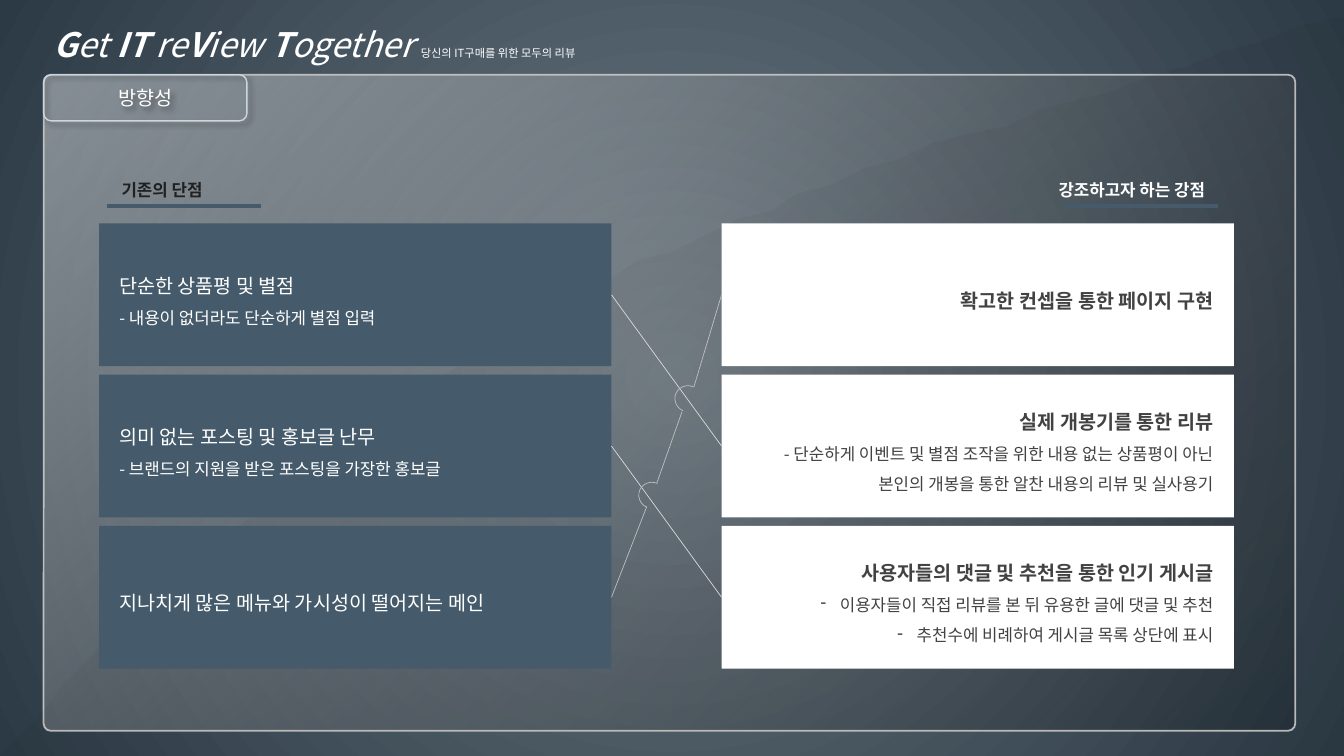
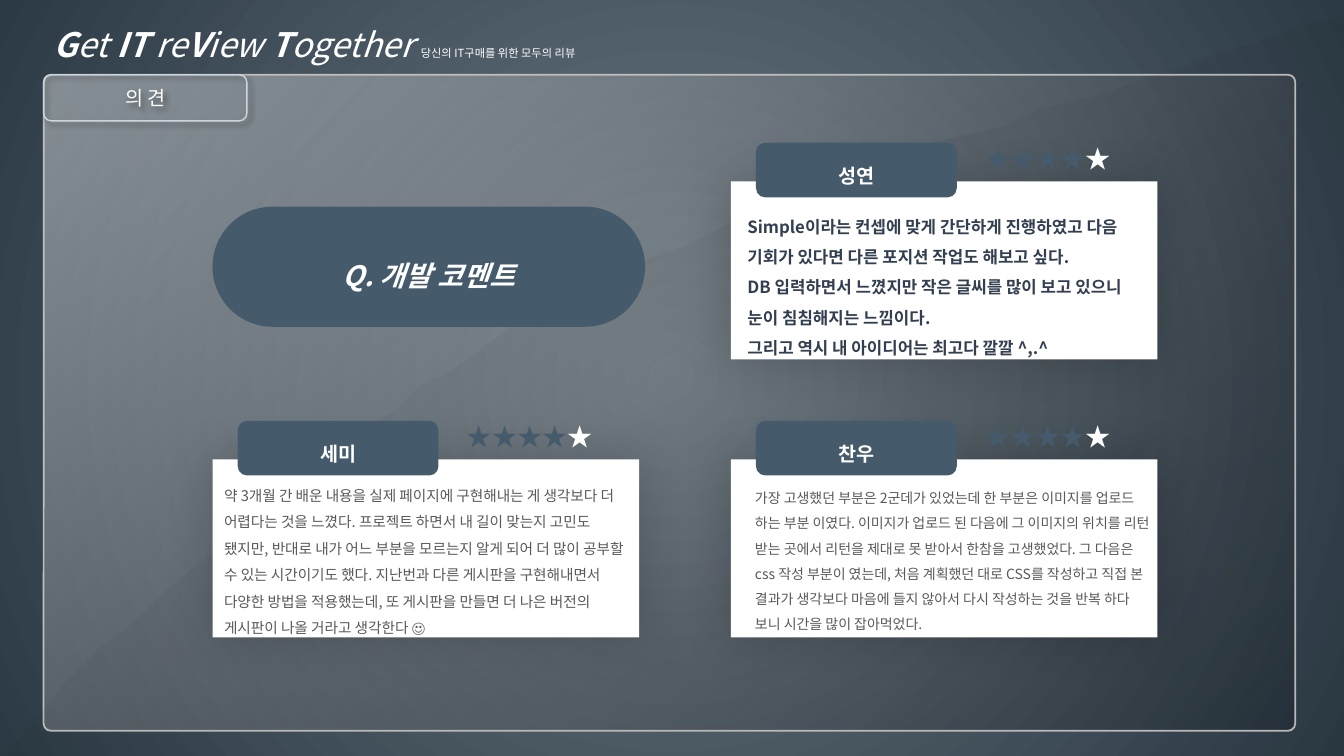
"""Build two review-site slides: direction and developer comments."""
from dataclasses import dataclass

from pptx import Presentation
from pptx.dml.color import RGBColor
from pptx.enum.shapes import MSO_CONNECTOR as Connector, MSO_SHAPE as Preset
from pptx.enum.text import MSO_ANCHOR as Anchor, MSO_AUTO_SIZE as AutoSize, PP_ALIGN as Align
from pptx.oxml import parse_xml
from pptx.oxml.ns import nsdecls, qn
from pptx.util import Emu, Pt


@dataclass(frozen=True)
class Theme:
    font: str = "Noto Sans CJK KR"
    title_font: str = "TeX Gyre Schola"
    slate: str = "455B6B"
    white: str = "FFFFFF"
    black: str = "000000"
    ink: str = "212121"
    strong: str = "424242"
    body: str = "595959"
    navy: str = "333F50"
    edge: str = "BFBFBF"
    link: str = "D9D9D9"
    tab_edge: str = "CCD6DE"
    glow: str = "6E7C87"
    night: str = "2C3A45"
    brand: float = 24
    question: float = 20
    star: float = 18
    heading: float = 14
    text: float = 12
    tagline: float = 8


theme = Theme()
presentation = Presentation()
presentation.slide_width, presentation.slide_height = Emu(12192000), Emu(6858000)
COLUMNS, ROWS = 160, 90
CELL = presentation.slide_width // COLUMNS

GRADIENT = (
    f'<a:gradFill {nsdecls("a")} rotWithShape="1"><a:gsLst>'
    '<a:gs pos="0"><a:srgbClr val="{}"><a:alpha val="{}"/></a:srgbClr></a:gs>'
    '<a:gs pos="100000"><a:srgbClr val="{}"><a:alpha val="{}"/></a:srgbClr></a:gs>'
    '</a:gsLst>{}</a:gradFill>'
)
CIRCLE = '<a:path path="circle"><a:fillToRect l="50000" t="50000" r="50000" b="50000"/></a:path>'
DIAGONAL = '<a:lin ang="2700000" scaled="0"/>'
SHADOW = (
    f'<a:outerShdw {nsdecls("a")} blurRad="{{}}" dist="{{}}" dir="2700000" algn="ctr" rotWithShape="0">'
    f'<a:srgbClr val="{theme.black}"><a:alpha val="{{}}"/></a:srgbClr></a:outerShdw>'
)
TAB_SHADOW = SHADOW.format(Pt(4), Pt(3), 40000)
CARD_SHADOW = SHADOW.format(Pt(35), 0, 18000)


def draw(slide, preset, frame, fill=None, line=None, width=1, shadow=None):
    """Add a preset shape, or a text box when there is no preset, on the grid."""
    frame = [Emu(round(value * CELL)) for value in frame]
    if preset is None:
        return slide.shapes.add_textbox(*frame)
    shape = slide.shapes.add_shape(preset, *frame)
    if fill:
        shape.fill.solid()
        shape.fill.fore_color.rgb = RGBColor.from_string(fill)
    else:
        shape.fill.background()
    if line:
        shape.line.color.rgb = RGBColor.from_string(line)
        shape.line.width = Pt(width)
    else:
        shape.line.fill.background()
    shape.shadow.inherit = False
    if shadow:
        shape.element.spPr.find(qn("a:effectLst")).append(parse_xml(shadow))
    return shape


def write(shape, paragraphs, align=Align.LEFT, anchor=Anchor.TOP, spacing=1.5, font=theme.font):
    """Fill a shape with paragraphs of (text, size, colour, style) runs."""
    frame = shape.text_frame
    frame.word_wrap = True
    frame.auto_size = AutoSize.NONE
    frame.vertical_anchor = anchor
    for index, runs in enumerate(paragraphs):
        paragraph = frame.add_paragraph() if index else frame.paragraphs[0]
        paragraph.alignment = align
        paragraph.line_spacing = spacing
        for text, size, color, style in runs:
            run = paragraph.add_run()
            run.text = text
            run.font.name = font
            run.font.size = Pt(size)
            run.font.color.rgb = RGBColor.from_string(color)
            run.font.bold = "b" in style
            run.font.italic = "i" in style
            latin = run.font._element.find(qn("a:latin"))
            latin.addnext(parse_xml(f'<a:ea {nsdecls("a")} typeface="{theme.font}"/>'))
    return frame


master = presentation.slide_master
master.background.fill.solid()
background = master.element.find(".//" + qn("p:bgPr"))
background.replace(
    background.find(qn("a:solidFill")),
    parse_xml(GRADIENT.format(theme.glow, 100000, theme.night, 100000, CIRCLE)),
)

brand = [("G", "bi"), ("et", "i"), (" IT ", "bi"), ("re", "i"), ("V", "bi"), ("iew", "i"), (" T", "bi"), ("ogether ", "i")]
brand_runs = [(text, theme.brand, theme.white, style) for text, style in brand]
brand_runs.append(("당신의 IT구매를 위한 모두의 리뷰", theme.tagline, theme.white, ""))

curve = [(159.7, 1.8), (95.4, 22.8), (55.1, 30.5), (0, ROWS)]
swoosh_points = []
for step in range(41):
    t = step / 40
    weights = [(1 - t) ** 3, 3 * t * (1 - t) ** 2, 3 * t * t * (1 - t), t ** 3]
    swoosh_points.append([sum(w * point[axis] for w, point in zip(weights, curve)) for axis in (0, 1)])

tab_frame = (5.2, 8.9, 24.2, 5.5)
slides = []
for title_text in ("방향성", "의 견"):
    slide = presentation.slides.add_slide(presentation.slide_layouts[5])
    slides.append(slide)
    panel = draw(slide, Preset.ROUNDED_RECTANGLE, (5.2, 8.9, 149, 78.1), None, theme.edge, 1.25)
    panel.adjustments[0] = 0.011
    properties = panel.element.spPr
    properties.replace(
        properties.find(qn("a:noFill")),
        parse_xml(GRADIENT.format(theme.white, 42000, theme.black, 18000, DIAGONAL)),
    )

    builder = slide.shapes.build_freeform(curve[0][0], ROWS, scale=CELL)
    builder.add_line_segments(swoosh_points, close=True)
    swoosh = builder.convert_to_shape()
    swoosh.fill.solid()
    swoosh.fill.fore_color.rgb = RGBColor.from_string(theme.black)
    swoosh.element.spPr.find(".//" + qn("a:srgbClr")).append(parse_xml(f'<a:alpha {nsdecls("a")} val="3000"/>'))
    swoosh.line.fill.background()
    swoosh.shadow.inherit = False

    write(draw(slide, None, (5.2, -0.1, 105.6, 7.6)), [brand_runs])

    draw(slide, Preset.ROUNDED_RECTANGLE, tab_frame, None, theme.tab_edge, 1, TAB_SHADOW)
    title = slide.shapes.title
    title.left, title.top, title.width, title.height = [Emu(round(value * CELL)) for value in tab_frame]
    write(title, [[(title_text, theme.heading, theme.white, "")]], Align.CENTER, Anchor.MIDDLE, 1, theme.title_font)
    effects = parse_xml(f'<a:effectLst {nsdecls("a")}>{TAB_SHADOW}</a:effectLst>')
    title.element.spPr.append(effects)
    title.element.getparent().append(title.element)

direction, opinions = slides

card_width, card_height, card_pitch, card_top = 61, 17, 18, 26.6
left_edge, right_edge = 11.8, 85.9
weaknesses = [
    ["단순한 상품평 및 별점", "- 내용이 없더라도 단순하게 별점 입력"],
    ["의미 없는 포스팅 및 홍보글 난무", "- 브랜드의 지원을 받은 포스팅을 가장한 홍보글"],
    ["지나치게 많은 메뉴와 가시성이 떨어지는 메인"],
]
strengths = [
    ["확고한 컨셉을 통한 페이지 구현"],
    ["실제 개봉기를 통한 리뷰",
     "- 단순하게 이벤트 및 별점 조작을 위한 내용 없는 상품평이 아닌 본인의 개봉을 통한 알찬 내용의 리뷰 및 실사용기"],
    ["사용자들의 댓글 및 추천을 통한 인기 게시글",
     "이용자들이 직접 리뷰를 본 뒤 유용한 글에 댓글 및 추천",
     "추천수에 비례하여 게시글 목록 상단에 표시"],
]
card_columns = [
    (left_edge, weaknesses, theme.slate, theme.white, "", Align.LEFT, (2.4, 1.2)),
    (right_edge, strengths, theme.white, theme.strong, "b", Align.RIGHT, (1.2, 2.4)),
]
for left, cards, fill, color, style, align, insets in card_columns:
    for row, (heading, *details) in enumerate(cards):
        card = draw(direction, Preset.RECTANGLE, (left, card_top + row * card_pitch, card_width, card_height), fill)
        paragraphs = [[(heading, theme.heading, color, style)]]
        paragraphs += [[(detail, theme.text, color, "")] for detail in details]
        frame = write(card, paragraphs, align, Anchor.MIDDLE)
        frame.margin_left, frame.margin_right = [Emu(round(inset * CELL)) for inset in insets]
        if align == Align.LEFT:
            continue
        indent = round(2.3 * CELL)
        for index, paragraph in enumerate(frame.paragraphs):
            bulleted = index > 0 and len(details) > 1
            settings = paragraph._p.get_or_add_pPr()
            settings.set("marL", str(indent * (2 if bulleted else 1)))
            settings.set("indent", str(-indent if bulleted else 0))
            if bulleted:
                settings.append(parse_xml(f'<a:buChar {nsdecls("a")} char="-"/>'))

column_titles = [
    ("기존의 단점", (12.7, 19.6, 13.2, 4.8), theme.ink),
    ("강조하고자 하는 강점", (123.7, 19.6, 22.1, 4.8), theme.white),
]
for text, frame, color in column_titles:
    write(draw(direction, None, frame), [[(text, theme.text, color, "b")]], Align.CENTER)

first, second, third = [card_top + card_height / 2 + row * card_pitch for row in range(3)]
inner_edge = left_edge + card_width
lines = [
    (inner_edge, first, right_edge, second, theme.link, 0.5),
    (inner_edge, second, right_edge, third, theme.link, 0.5),
    (inner_edge, third, 77, 60.3, theme.edge, 0.5),
    (78.2, 57.5, 81.2, 49, theme.edge, 0.5),
    (right_edge, first, 82.6, 46.1, theme.edge, 0.5),
    (12.7, 24.5, 31.1, 24.5, theme.slate, 3),
    (126.7, 24.5, 145, 24.5, theme.slate, 3),
]
for *ends, color, width in lines:
    connector = direction.shapes.add_connector(Connector.STRAIGHT, *[Emu(round(end * CELL)) for end in ends])
    connector.line.color.rgb = RGBColor.from_string(color)
    connector.line.width = Pt(width)
    connector.element.spPr.append(parse_xml(f'<a:effectLst {nsdecls("a")}/>'))
for left, top in ((76.1, 57.1), (80.4, 45.6)):
    bridge = draw(direction, Preset.LEFT_BRACKET, (left, top, 1.6, 3.1), None, theme.edge, 0.5)
    bridge.adjustments[0] = 1.02
    bridge.rotation = 23.7

comments = [
    ("세미", 25.3, 54.7, (0.2, 1.6, 50.4, 20.3), 10.5, theme.body, "", [
        "약 3개월 간 배운 내용을 실제 페이지에 구현해내는 게 생각보다 더 어렵다는 것을 느꼈다. "
        "프로젝트 하면서 내 길이 맞는지 고민도 됐지만, 반대로 내가 어느 부분을 모르는지 알게 되어 더 많이 "
        "공부할 수 있는 시간이기도 했다. 지난번과 다른 게시판을 구현해내면서 다양한 방법을 적용했는데, "
        "또 게시판을 만들면 더 나은 버전의 게시판이 나올 거라고 생각한다 ☺"]),
    ("찬우", 87, 54.7, (1.7, 2, 49.8, 19.4), 10, theme.body, "", [
        "가장 고생했던 부분은 2군데가 있었는데 한 부분은 이미지를 업로드 하는 부분 이였다. "
        "이미지가 업로드 된 다음에 그 이미지의 위치를 리턴 받는 곳에서 리턴을 제대로 못 받아서 한참을 고생했었다. "
        "그 다음은 css 작성 부분이 였는데, 처음 계획했던 대로 CSS를 작성하고 직접 본 결과가 생각보다 "
        "마음에 들지 않아서 다시 작성하는 것을 반복 하다 보니 시간을 많이 잡아먹었다."]),
    ("성연", 87, 21.6, (0.8, 2.4, 49.8, 19.4), 12, theme.navy, "b", [
        "Simple이라는 컨셉에 맞게 간단하게 진행하였고 다음 기회가 있다면 다른 포지션 작업도 해보고 싶다.",
        "DB 입력하면서 느꼈지만 작은 글씨를 많이 보고 있으니 눈이 침침해지는 느낌이다.",
        "그리고 역시 내 아이디어는 최고다 깔깔 ^,.^"]),
]
for name, left, top, (text_left, text_top, *text_size), size, color, style, sentences in comments:
    draw(opinions, Preset.RECTANGLE, (left, top, 50.8, 21.2), theme.white, shadow=CARD_SHADOW)
    name_tag = draw(opinions, Preset.ROUNDED_RECTANGLE, (left + 3, top - 4.6, 23.9, 6.5), theme.slate)
    write(name_tag, [[(name, theme.heading, theme.white, "b")]], Align.CENTER, Anchor.MIDDLE)
    comment = draw(opinions, None, (left + text_left, top + text_top, *text_size))
    write(comment, [[(sentence, size, color, style)] for sentence in sentences])
    stars = draw(opinions, None, (left + 29.1, top - 6.9, 18, 6.7))
    write(stars, [[("★★★★", theme.star, theme.slate, ""), ("★", theme.star, theme.white, "")]])

question = draw(opinions, Preset.ROUNDED_RECTANGLE, (25.3, 24.6, 51.5, 14.3), theme.slate)
question.adjustments[0] = 0.5
write(question, [[("Q. 개발 코멘트", theme.question, theme.white, "bi")]], Align.CENTER, Anchor.MIDDLE)

presentation.save("out.pptx")
